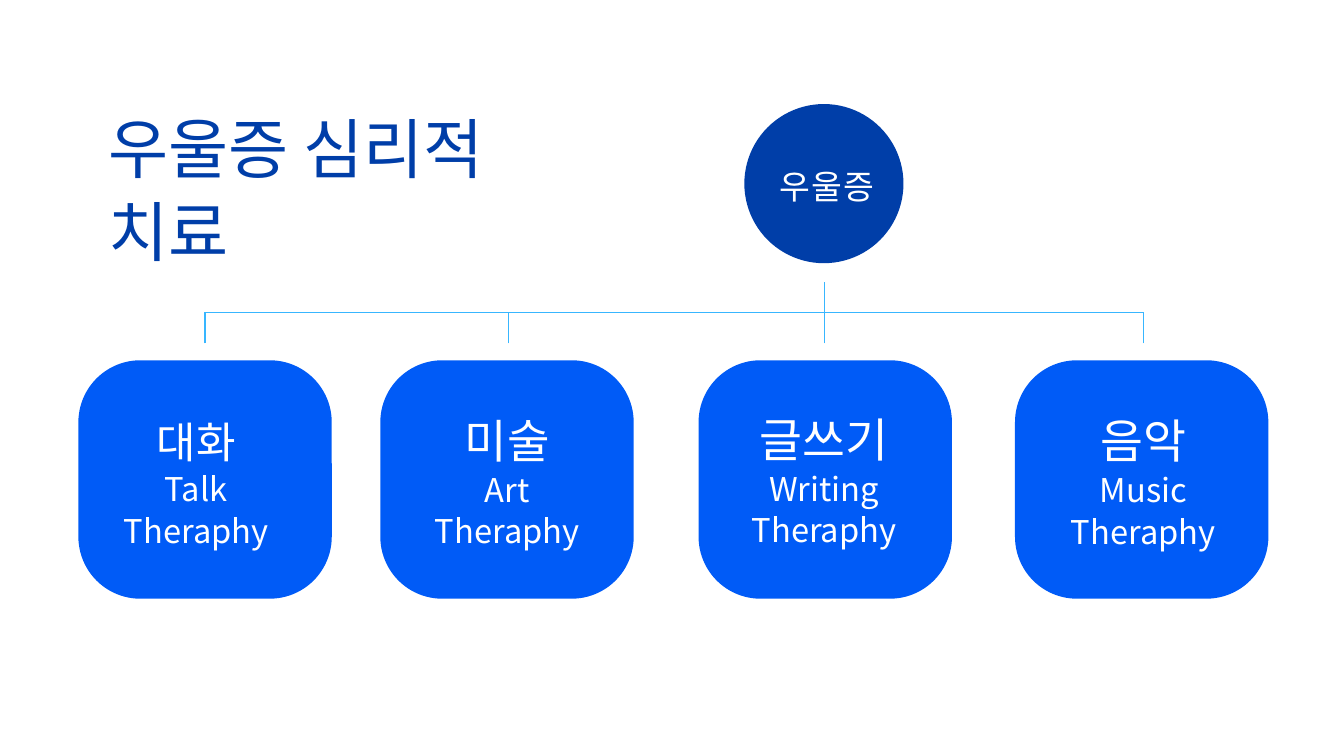
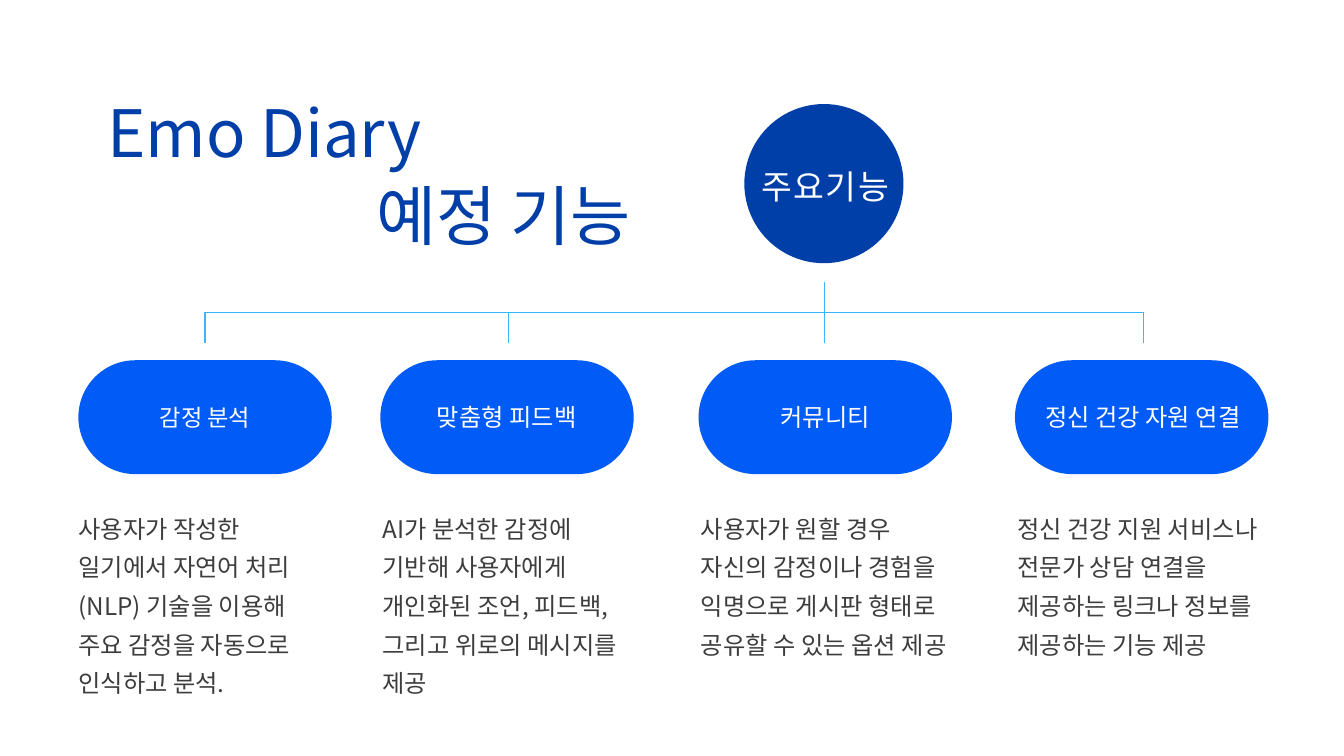
from lxml.etree import SubElement
from pptx import Presentation
from pptx.dml.color import RGBColor
from pptx.enum.shapes import MSO_CONNECTOR as Connector, MSO_SHAPE as Preset
from pptx.enum.text import MSO_AUTO_SIZE as AutoSize, PP_ALIGN as Align
from pptx.oxml.ns import qn
from pptx.util import Pt

COLORS = {
    "navy": "003EA8",
    "blue": "005BF7",
    "sky": "38B6FF",
    "white": "FFFFFF",
    "gray": "3D3D3D",
}
LATIN, HANGUL = "Calibri", "Noto Sans CJK KR"
LEADING = 1.27
CARD_LEFTS = [84, 407.5, 748.5, 1087.5]
CARD_TOP, CARD_WIDTH = 386, 271.5
DROP_XS = [219.5, 545, 883.25, 1225]
STEM_X, STEM_TOP, BAR_Y, DROP_BOTTOM = 883.25, 302.5, 334.75, 368

THERAPIES = [
    ((90, 442, 240.5, 147), "대화", 45.9, ["Talk", "Theraphy"]),
    ((400.5, 437.75, 286, 151), "미술", 49.5, ["Art", "Theraphy"]),
    ((759.5, 436.25, 247, 151), "글쓰기", 50, ["Writing Theraphy"]),
    ((1103.75, 437.75, 242.5, 151), "음악", 50, ["Music Theraphy"]),
]
FEATURES = [
    ((99.5, 430, 240.5, 31.5), "감정 분석", 24.9, 0, HANGUL,
     "사용자가 작성한 일기에서 자연어 처리(NLP) 기술을 이용해 주요 감정을 자동으로 인식하고 분석."),
    ((427, 429, 232, 33), "맞춤형 피드백", 26, 2.5, HANGUL,
     "AI가 분석한 감정에 기반해 사용자에게 개인화된 조언, 피드백, 그리고 위로의 메시지를 제공"),
    ((773.25, 429, 222, 33), "커뮤니티", 26, 2.5, LATIN,
     "사용자가 원할 경우 자신의 감정이나 경험을 익명으로 게시판 형태로 공유할 수 있는 옵션 제공"),
    ((1117.5, 429, 214, 33), "정신 건강 자원 연결", 26, 2.5, LATIN,
     "정신 건강 지원 서비스나 전문가 상담 연결을 제공하는 링크나 정보를 제공하는 기능 제공"),
]


def rgb(name):
    return RGBColor.from_string(COLORS[name])


def add_filled(page, preset, area, color):
    shape = page.shapes.add_shape(preset, *map(Pt, area))
    shape.shadow.inherit = False
    shape.fill.solid()
    shape.fill.fore_color.rgb = rgb(color)
    shape.line.fill.background()
    return shape


def add_text(page, area, lines, color, align=Align.LEFT, leading=LEADING, spacing=0):
    frame = page.shapes.add_textbox(*map(Pt, area)).text_frame
    frame.margin_left = frame.margin_right = frame.margin_top = frame.margin_bottom = 0
    frame.word_wrap = True
    frame.auto_size = AutoSize.SHAPE_TO_FIT_TEXT
    frame.text = "\n".join(text for text, size, font in lines)
    for para, (text, size, font) in zip(frame.paragraphs, lines):
        para.alignment = align
        para.line_spacing = Pt(round(size * leading, 1))
        span = para.runs[0]
        span.font.size = Pt(size)
        span.font.name = font
        span.font.color.rgb = rgb(color)
        properties = span.font._element
        SubElement(properties, qn("a:ea")).set("typeface", font)
        if spacing:
            properties.set("spc", str(int(spacing * 100)))
    return frame


def add_line(page, start, end):
    line = page.shapes.add_connector(Connector.STRAIGHT, *map(Pt, start + end))
    line.line.color.rgb = rgb("sky")
    line.line.width = Pt(1.5)
    SubElement(line._element.spPr, qn("a:effectLst"))


def add_tree(page, topic, topic_left, topic_width, card_height, roundness):
    add_filled(page, Preset.OVAL, (797.5, 111.5, 170.5, 170.5), "navy")
    add_text(page, (topic_left, 175.5, topic_width, 45), [(topic, 35.9, LATIN)],
             "white", Align.CENTER, spacing=1.5)
    for left in CARD_LEFTS:
        card = add_filled(page, Preset.ROUNDED_RECTANGLE,
                          (left, CARD_TOP, CARD_WIDTH, card_height), "blue")
        card.adjustments[0] = roundness
    for x in DROP_XS:
        top = STEM_TOP if x == STEM_X else BAR_Y
        add_line(page, (x, DROP_BOTTOM), (x, top))
    add_line(page, (DROP_XS[-1], BAR_Y), (DROP_XS[0], BAR_Y))


def build_therapies(page):
    add_tree(page, "우울증", 819.5, 132.5, 255.5, 0.26)
    add_text(page, (116.5, 111.5, 525, 87), [("우울증 심리적 치료", 70, LATIN)], "navy")
    for area, name, size, english in THERAPIES:
        lines = [(name, size, LATIN)] + [(text, 35, HANGUL) for text in english]
        add_text(page, area, lines, "white", Align.CENTER)


def build_features(page):
    add_tree(page, "주요기능", 810, 148.5, 122, 0.5)
    title = add_text(page, (115, 93.5, 623, 175.5),
                     [("Emo Diary", 70, HANGUL), ("예정 기능", 70, HANGUL)], "navy")
    indent = title.paragraphs[1]._p.get_or_add_pPr()
    indent.set("marL", str(Pt(288)))
    indent.set("indent", "0")
    for left, (area, name, size, inset, font, detail) in zip(CARD_LEFTS, FEATURES):
        add_text(page, area, [(name, size, LATIN)], "white", Align.CENTER)
        add_text(page, (left + inset, 540.75, CARD_WIDTH - inset, 163.5),
                 [(detail, 26, font)], "gray", leading=1.59)


def main():
    deck = Presentation()
    deck.slide_width, deck.slide_height = Pt(1440), Pt(810)
    for build in (build_therapies, build_features):
        build(deck.slides.add_slide(deck.slide_layouts[6]))
    deck.save("out.pptx")


if __name__ == "__main__":
    main()
